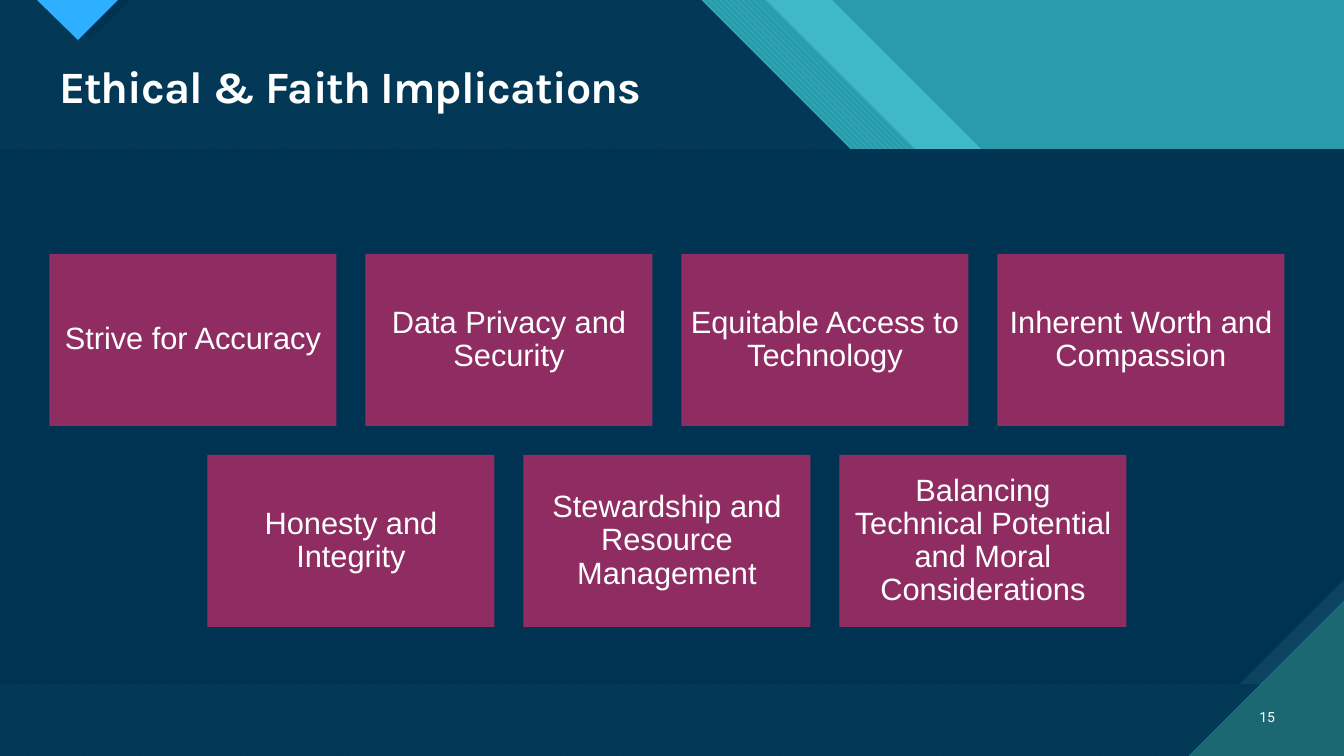
from pptx import Presentation
from pptx.dml.color import RGBColor
from pptx.enum.dml import MSO_PATTERN as Pattern
from pptx.enum.shapes import MSO_SHAPE as Preset
from pptx.enum.text import MSO_ANCHOR as Anchor, PP_ALIGN as Align
from pptx.oxml.ns import qn
from pptx.util import Pt
from lxml import etree

EMU_PER_PX = 914400 / 100.8
WIDTH, HEIGHT = 1344, 756
COLORS = {
    "teal": "299CAB", "aqua": "47C3D3", "pine": "1B6872", "navy": "003352",
    "steel": "0C4360", "sky": "2FAFFF", "plum": "8F2D63", "white": "FFFFFF",
}
CARD_ROWS = [
    ["Strive for Accuracy", "Data Privacy and Security",
     "Equitable Access to Technology", "Inherent Worth and Compassion"],
    ["Honesty and Integrity", "Stewardship and Resource Management",
     "Balancing Technical Potential and Moral Considerations"],
]


def px(length):
    return round(length * EMU_PER_PX)


def rgb(name):
    return RGBColor.from_string(COLORS[name])


def paint(shape, color, opacity=100, pattern=None, back=None):
    """Fill a shape with a plain or patterned colour, without line or shadow."""
    shape.shadow.inherit = False
    shape.line.fill.background()
    fill = shape.fill
    if pattern:
        fill.patterned()
        fill.pattern = pattern
        fill.back_color.rgb = rgb(back)
    else:
        fill.solid()
    fill.fore_color.rgb = rgb(color)
    if opacity < 100:
        swatch = shape._element.spPr.find(qn("a:solidFill"))[0]
        etree.SubElement(swatch, qn("a:alpha"), val=str(opacity * 1000))


def add_polygon(slide, points, color, **finish):
    builder = slide.shapes.build_freeform(*points[0], scale=EMU_PER_PX)
    builder.add_line_segments(points[1:], close=True)
    paint(builder.convert_to_shape(), color, **finish)


def place(shape, box):
    for side, length in zip(("left", "top", "width", "height"), box):
        setattr(shape, side, px(length))


def write(shape, text, font, align, inset=(10, 5), **spacing):
    """Put one vertically centred paragraph into a shape."""
    frame = shape.text_frame
    frame.text = text
    across, down = inset
    layout = {
        "word_wrap": True, "vertical_anchor": Anchor.MIDDLE,
        "margin_left": px(across), "margin_right": px(across),
        "margin_top": px(down), "margin_bottom": px(down),
    }
    paragraph = frame.paragraphs[0]
    run = paragraph.runs[0]
    for target, values in ((frame, layout),
                           (paragraph, {"alignment": align, **spacing}),
                           (run.font, font)):
        for name, value in values.items():
            setattr(target, name, value)
    run.font.color.rgb = rgb("white")
    return run


def draw_diagonal_bands(slide, box):
    """Layer bands whose right edges run down at 45 degrees."""
    left, top, width, height = box
    right, bottom = left + width, top + height
    drop, ledge = 300, 413
    bands = [
        (832, "aqua", {"opacity": 74}),
        (766, "aqua", {"pattern": Pattern.WIDE_DOWNWARD_DIAGONAL, "back": "teal"}),
        (701, "aqua", {"pattern": Pattern.WIDE_UPWARD_DIAGONAL, "back": "pine"}),
        (701, "navy", {"opacity": 90}),
    ]
    for edge, color, finish in bands:
        start = left + edge
        corner = start + ledge
        add_polygon(slide, [
            (left, top), (start, top), (start + drop, top + drop),
            (corner, top + drop), (right, top + drop + right - corner),
            (right, bottom), (left, bottom)], color, **finish)


def draw_pointer(slide, box):
    """Draw the small downward triangle and its dark shade."""
    left, top, width, height = box
    for shift, color, finish in (
            (12, "navy", {}),
            (0, "sky", {"pattern": Pattern.DARK_HORIZONTAL, "back": "pine"})):
        start = left + shift
        add_polygon(slide, [(start, top), (start + width, top),
                            (start + width / 2, top + height)], color, **finish)


def draw_panel(slide, box):
    left, top, width, height = box
    right, bottom, snip = left + width, top + height, 105
    for cut, color, finish in (
            (0, "steel", {"pattern": Pattern.DARK_VERTICAL, "back": "pine"}),
            (snip, "navy", {})):
        add_polygon(slide, [(left, top), (right, top), (right, bottom - cut),
                            (right - cut, bottom), (left, bottom)], color, **finish)


def draw_corner(slide, box):
    left, top, width, height = box
    right, bottom = left + width, top + height
    add_polygon(slide, [(left, bottom), (right, bottom), (right, top)], "pine",
                pattern=Pattern.DARK_HORIZONTAL, back="aqua")


def draw_title(slide, box):
    title = slide.shapes.title
    slide.shapes._spTree.append(title._element)
    place(title, box)
    run = write(title, "Ethical & Faith Implications",
                {"name": "Karla", "size": Pt(32), "bold": True},
                Align.LEFT, line_spacing=0.9)
    run.font._element.set("spc", "-70")


def draw_page_number(slide, box):
    number = slide.shapes.add_textbox(*map(px, box))
    write(number, "15", {"name": "Roboto", "size": Pt(10)}, Align.RIGHT,
          space_after=Pt(6))


def draw_cards(slide, box):
    """Lay out rows of equal cards, each row centred in the box."""
    left, top, width, _ = box
    card_width, card_height, gap = 287, 172, 29
    for row, topics in enumerate(CARD_ROWS):
        row_width = len(topics) * (card_width + gap) - gap
        row_left = left + (width - row_width) / 2
        for column, topic in enumerate(topics):
            card_box = (row_left + column * (card_width + gap),
                        top + row * (card_height + gap), card_width, card_height)
            card = slide.shapes.add_shape(Preset.RECTANGLE, *map(px, card_box))
            paint(card, "plum")
            write(card, topic, {"name": "Arial", "size": Pt(22)},
                  Align.CENTER, inset=(9, 9), line_spacing=0.9)


def main():
    deck = Presentation()
    deck.slide_width, deck.slide_height = px(WIDTH), px(HEIGHT)
    slide = deck.slides.add_slide(deck.slide_layouts[5])
    backdrop = slide.background.fill
    backdrop.solid()
    backdrop.fore_color.rgb = rgb("teal")

    draw_diagonal_bands(slide, (0, 0, WIDTH, HEIGHT))
    draw_pointer(slide, (37, 0, 81, 40))
    draw_panel(slide, (0, 149, WIDTH, 535))
    draw_corner(slide, (1189, 601, 155, 155))
    draw_title(slide, (49, 59, 1236, 59))
    draw_page_number(slide, (1241, 697, 44, 40))
    draw_cards(slide, (49, 254, 1236, 373))
    deck.save("out.pptx")


if __name__ == "__main__":
    main()
